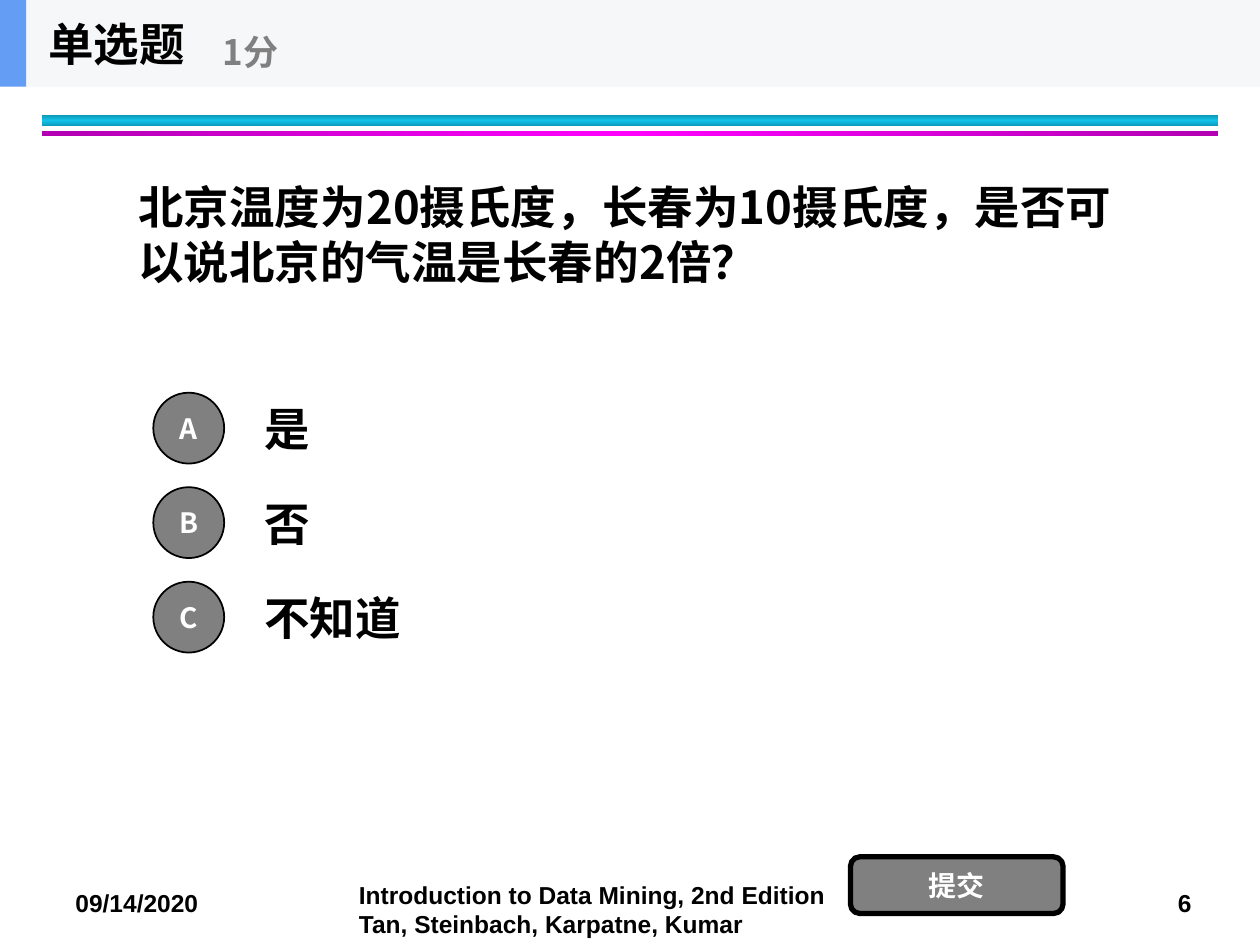
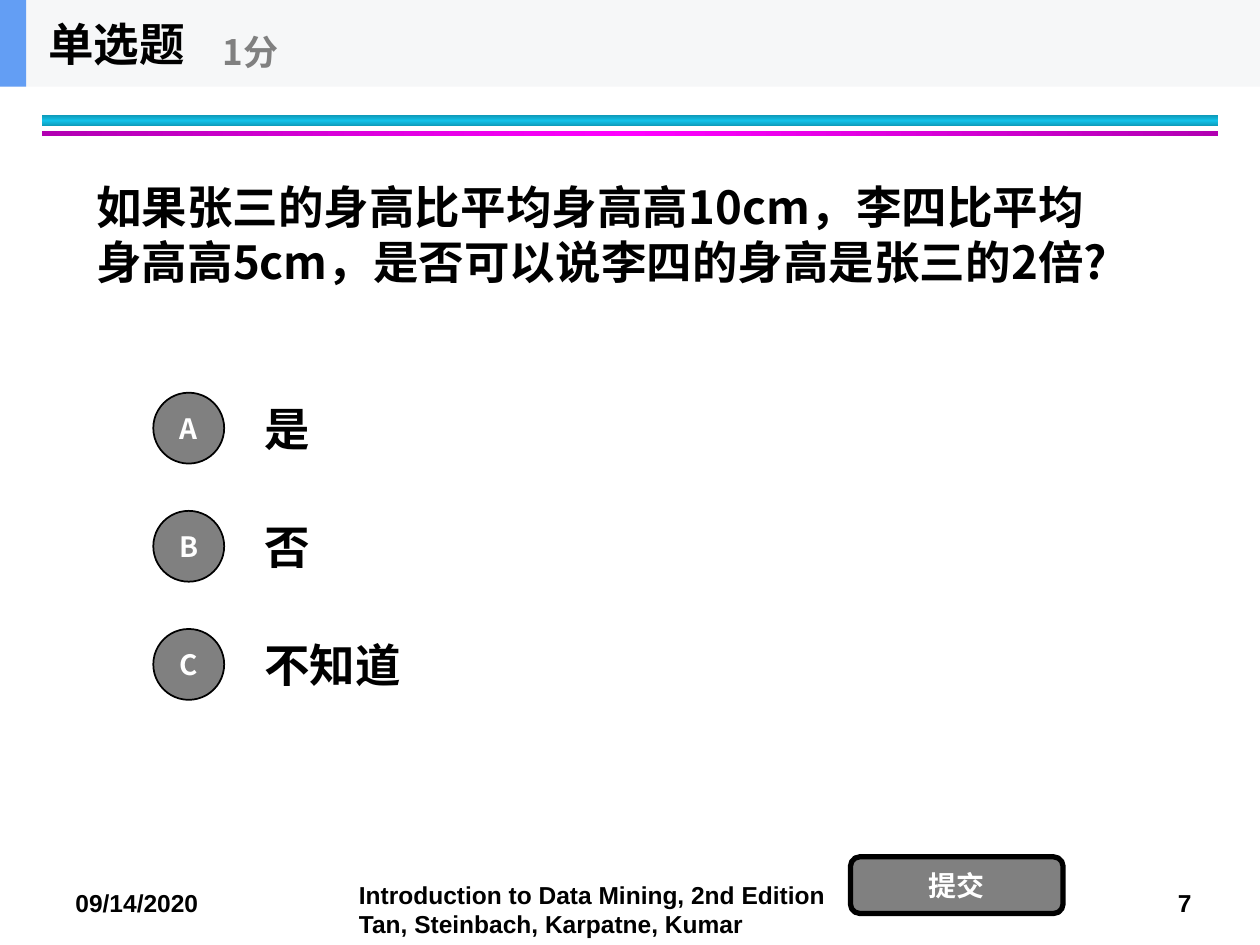
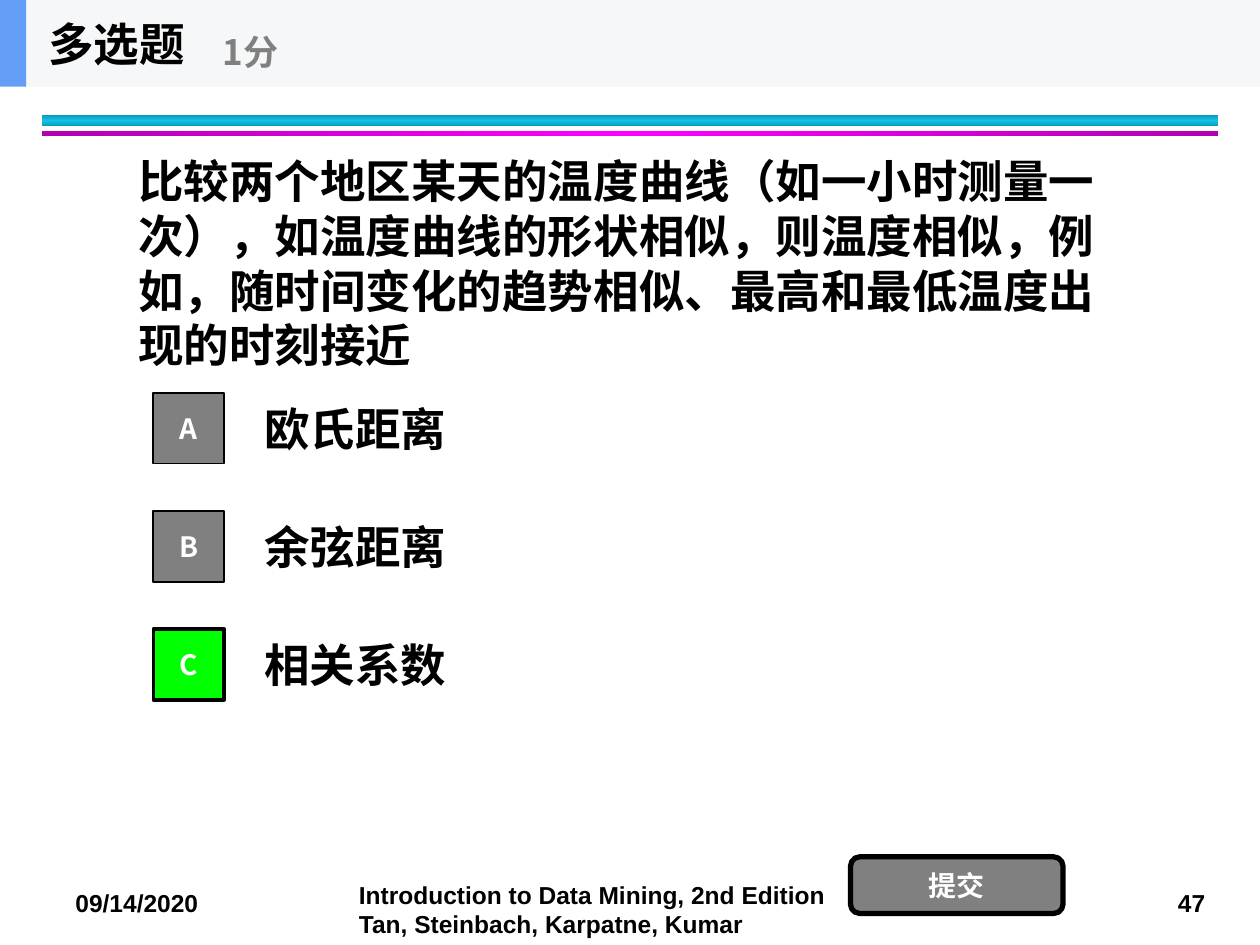
from copy import deepcopy
from dataclasses import dataclass

from lxml import etree
from pptx import Presentation
from pptx import util as u
from pptx.dml.color import RGBColor
from pptx.enum import shapes, text
from pptx.oxml.ns import qn


@dataclass(frozen=True)
class Theme:
    ink: str = "000000"
    paper: str = "FFFFFF"
    grey: str = "808080"
    correct: str = "00FF00"
    header: str = "F6F7F8"
    accent: str = "639EF4"
    cyan: tuple = ("0E9BBA", "12C2E9", "0E9BBA")
    magenta: tuple = ("B200B2", "FF00FF", "B200B2")
    cjk: str = "Noto Sans CJK SC"
    latin: str = "Arial"
    large: int = 26
    medium: int = 20
    small: int = 16
    footer: int = 14


theme = Theme()
kinds = shapes.MSO_SHAPE
deck = Presentation()
deck.slide_width, deck.slide_height = u.Inches(10), u.Inches(7.5)

# Grid of 120 columns by 90 rows; every area is (column, row, columns, rows)
CELL = deck.slide_width / 120


def write(shape, words, size=theme.large, color=theme.ink, font=theme.cjk,
          align=text.PP_ALIGN.LEFT, anchor=text.MSO_ANCHOR.MIDDLE, inset=True):
    """Put one paragraph of bold text into a shape."""
    frame = shape.text_frame
    frame.word_wrap = True
    frame.auto_size = text.MSO_AUTO_SIZE.NONE
    frame.vertical_anchor = anchor
    frame.margin_left = frame.margin_right = u.Inches(0.1 if inset else 0)
    frame.margin_top = frame.margin_bottom = u.Inches(0.05 if inset else 0)
    paragraph = frame.paragraphs[0]
    paragraph.alignment = align
    run = paragraph.add_run()
    run.text = words
    run.font.size, run.font.bold, run.font.name = u.Pt(size), True, font
    run.font.color.rgb = RGBColor.from_string(color)
    east_asian = etree.SubElement(run.font._element, qn("a:ea"))
    east_asian.set("typeface", font)


def place(slide, area, kind=None, fill=None, border=0):
    """Add a text box, or a preset shape with a solid or three-stop fill."""
    box = [round(length * CELL) for length in area]
    if kind is None:
        return slide.shapes.add_textbox(*box)
    shape = slide.shapes.add_shape(kind, *box)
    shape.shadow.inherit = False
    if isinstance(fill, tuple):
        shape.fill.gradient()
        stops = shape.element.find(".//" + qn("a:gsLst"))
        stops.insert(1, deepcopy(stops[0]))
        for index, stop in enumerate(shape.fill.gradient_stops):
            stop.position = index / 2
            stop.color.rgb = RGBColor.from_string(fill[index])
    else:
        shape.fill.solid()
        shape.fill.fore_color.rgb = RGBColor.from_string(fill)
    if border:
        shape.line.color.rgb = RGBColor.from_string(theme.ink)
        shape.line.width = u.Pt(border)
    else:
        shape.line.fill.background()
    return shape


# Quiz content: answer pitch is in grid rows
quiz = [
    dict(page="6", heading="单选题", badge=kinds.OVAL, pitch=9, correct=None,
         question="北京温度为20摄氏度，长春为10摄氏度，是否可以说北京的气温是长春的2倍？",
         area=(12, 8.25, 96, 28), answers=["是", "否", "不知道"]),
    dict(page="7", heading="单选题", badge=kinds.OVAL, pitch=11.25, correct=None,
         question="如果张三的身高比平均身高高10cm，李四比平均身高高5cm，"
                  "是否可以说李四的身高是张三的2倍?",
         area=(8, 8.25, 100, 28), answers=["是", "否", "不知道"]),
    dict(page="47", heading="多选题", badge=kinds.RECTANGLE, pitch=11.25, correct="C",
         question="比较两个地区某天的温度曲线（如一小时测量一次），如温度曲线的形状相似，"
                  "则温度相似，例如，随时间变化的趋势相似、最高和最低温度出现的时刻接近",
         area=(12, 11, 96, 28), answers=["欧氏距离", "余弦距离", "相关系数"]),
]

for item in quiz:
    slide = deck.slides.add_slide(deck.slide_layouts[5])

    # Rules below the header
    cyan_rule = place(slide, (4, 11, 112, 1), kinds.RECTANGLE, theme.cyan)
    cyan_rule.fill.gradient_angle = 90
    magenta_rule = place(slide, (4, 12.5, 112, 0.5), kinds.RECTANGLE, theme.magenta)
    magenta_rule.fill.gradient_angle = 0

    # Footer
    for words, area in [
        ("09/14/2020", (6, 84, 16, 4)),
        (item["page"], (111, 84, 5.25, 4)),
        ("Introduction to Data Mining, 2nd Edition Tan, Steinbach, Karpatne, Kumar",
         (33, 83.2, 49, 6.8)),
    ]:
        write(place(slide, area), words, size=theme.footer, font=theme.latin,
              anchor=text.MSO_ANCHOR.TOP)

    # Question and answers
    write(place(slide, item["area"]), item["question"])
    for row, (letter, answer) in enumerate(zip("ABC", item["answers"])):
        drop = row * item["pitch"]
        write(place(slide, (24, 36.6 + drop, 84, 8.4)), answer)
        is_correct = letter == item["correct"]
        badge = place(slide, (14.6, 37.4 + drop, 6.75, 6.75), item["badge"],
                      theme.correct if is_correct else theme.grey,
                      2 if is_correct else 1)
        write(badge, letter, size=theme.small, color=theme.paper,
              align=text.PP_ALIGN.CENTER, inset=False)

    # Submit button
    submit = place(slide, (81, 81.6, 20.25, 5.4), kinds.ROUNDED_RECTANGLE, theme.grey, 3)
    write(submit, "提交", size=theme.small, color=theme.paper,
          align=text.PP_ALIGN.CENTER, inset=False)

    # Header band, title and score
    place(slide, (0, 0, 120, 8.25), kinds.RECTANGLE, theme.header)
    place(slide, (0, 0, 2.5, 8.25), kinds.RECTANGLE, theme.accent)
    title = slide.shapes.title
    title.left, title.top, title.width, title.height = [
        round(length * CELL) for length in (3.4, 0, 25, 8.25)]
    write(title, item["heading"])
    slide.shapes.element.append(title.element)  # in front of the band
    write(place(slide, (20, 1.5, 30, 6.75)), "1分", size=theme.medium, color=theme.grey)

deck.save("out.pptx")
